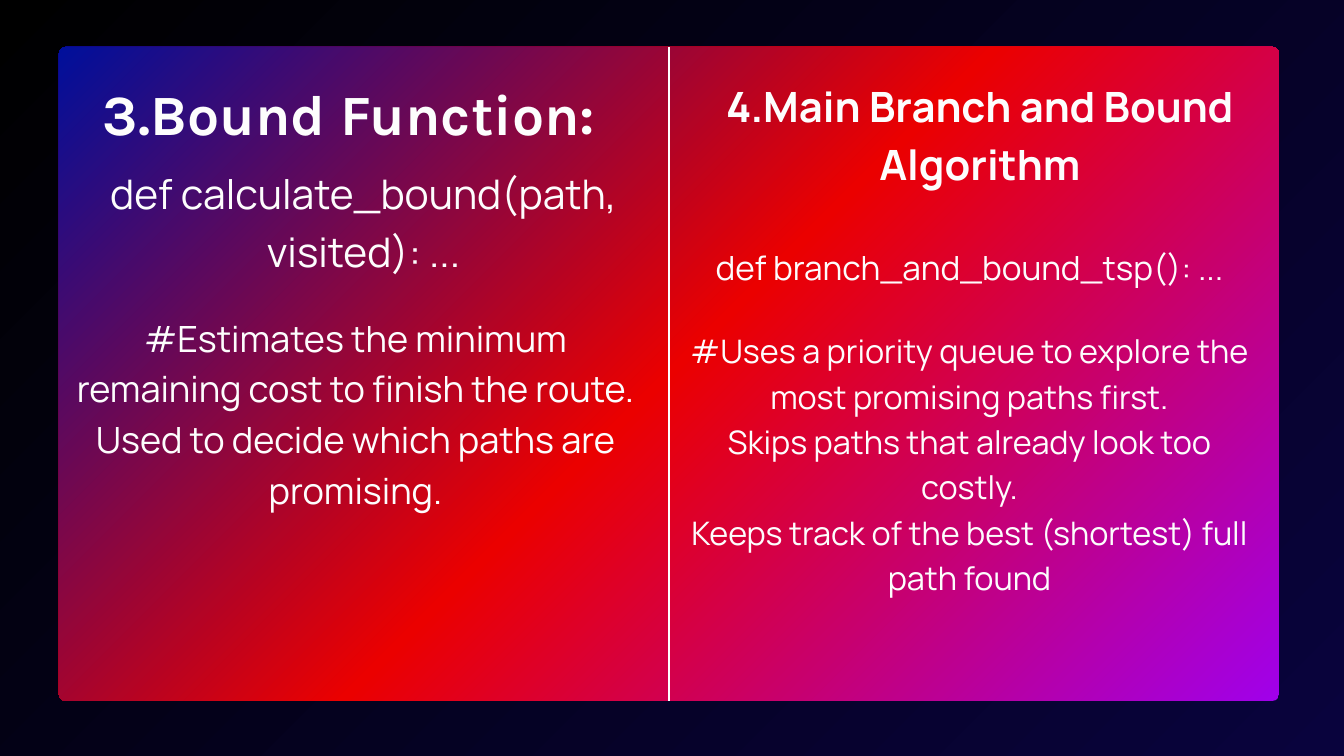
from copy import deepcopy

from lxml import etree
from pptx import Presentation
from pptx.dml.color import RGBColor
from pptx.enum.shapes import MSO_CONNECTOR, MSO_SHAPE
from pptx.enum.text import MSO_AUTO_SIZE, PP_ALIGN
from pptx.oxml.ns import qn
from pptx.util import Emu, Pt

ROUND = MSO_SHAPE.ROUNDED_RECTANGLE
STRAIGHT = MSO_CONNECTOR.STRAIGHT
CENTER = PP_ALIGN.CENTER
GROW = MSO_AUTO_SIZE.SHAPE_TO_FIT_TEXT
TOP, BOTTOM = 0, 2

WIDTH, HEIGHT = 1344, 756
SCALE = 914400 / 67.2
COLORS = {
    "black": "000000", "navy": "09033D",
    "blue": "000F9B", "red": "EB0000", "purple": "A000EB",
    "line": "FFFFFF", "text": "FDFDFD",
}


def px(n):
    return Emu(round(n * SCALE))


def color(name):
    return RGBColor.from_string(COLORS[name])


class Deck:
    def __init__(self):
        self.prs = Presentation()
        self.prs.slide_width, self.prs.slide_height = px(WIDTH), px(HEIGHT)
        self.slide = self.prs.slides.add_slide(self.prs.slide_layouts[6])
        self.shapes = self.slide.shapes

    def blend(self, fill, root, names):
        """Spread the colours evenly from the top left corner."""
        fill.gradient()
        grad = root.find(".//" + qn("a:gradFill"))
        stops = grad.find(qn("a:gsLst"))
        while len(stops) < len(names):
            stops.append(deepcopy(stops[0]))
        for i, (stop, name) in enumerate(zip(fill.gradient_stops, names)):
            stop.color.rgb = color(name)
            stop.position = i / (len(names) - 1)
        grad.remove(grad.find(qn("a:lin")))
        way = etree.Element(qn("a:path"), path="circle")
        etree.SubElement(way, qn("a:fillToRect"), r="100000", b="100000")
        stops.addnext(way)

    def back(self, names):
        self.blend(self.slide.background.fill, self.slide._element, names)

    def card(self, x, y, w, h, names):
        card = self.shapes.add_shape(ROUND, px(x), px(y), px(w), px(h))
        card.adjustments[0] = 0.01
        card.shadow.inherit = False
        card.line.fill.background()
        self.blend(card.fill, card._element.spPr, names)
        return card

    def split(self, card):
        line = self.shapes.add_connector(STRAIGHT, 0, 0, 0, 0)
        line.begin_connect(card, TOP)
        line.end_connect(card, BOTTOM)
        line.line.color.rgb = color("line")
        line.line.width = Pt(3)
        etree.SubElement(line._element.spPr, qn("a:effectLst"))

    def text(self, x, y, w, h, size, lead, lines, font="Manrope", bold=False):
        box = self.shapes.add_textbox(px(x), px(y), px(w), px(h))
        frame = box.text_frame
        frame.word_wrap = True
        frame.auto_size = GROW
        frame.margin_left = frame.margin_right = 0
        frame.margin_top = frame.margin_bottom = 0
        for i, line in enumerate(lines):
            para = frame.add_paragraph() if i else frame.paragraphs[0]
            para.alignment = CENTER
            para.line_spacing = Pt(lead)
            run = para.add_run()
            run.text = line
            run.font.name = font
            run.font.size = Pt(size)
            run.font.bold = bold
            run.font.color.rgb = color("text")


def main():
    deck = Deck()

    # Background, card and divider
    deck.back(["black", "navy"])
    card = deck.card(59, 47, 1220, 654, ["blue", "red", "purple"])
    deck.split(card)

    # Left half: bound function
    deck.text(67, 67, 564, 76, 61, 85.4, ["3.Bound Function:"], "Karla", True)
    deck.text(75, 161, 577, 115, 43.7, 61.2,
              ["def calculate_bound(path, visited): ..."])
    deck.text(67, 309, 577, 253, 38.7, 54.2, [
        "#Estimates the minimum remaining cost to finish the route.",
        "Used to decide which paths are promising.",
    ])

    # Right half: main algorithm
    deck.text(708, 72, 544, 118, 44.7, 62.6,
              ["4.Main Branch and Bound Algorithm"], bold=True)
    deck.text(686, 241, 567, 47, 35.7, 50, ["def branch_and_bound_tsp(): ..."])
    deck.text(686, 325, 567, 269, 34.7, 48.6, [
        "#Uses a priority queue to explore the most promising paths first.",
        "Skips paths that already look too costly.",
        "Keeps track of the best (shortest) full path found",
    ])

    deck.prs.save("out.pptx")


if __name__ == "__main__":
    main()
